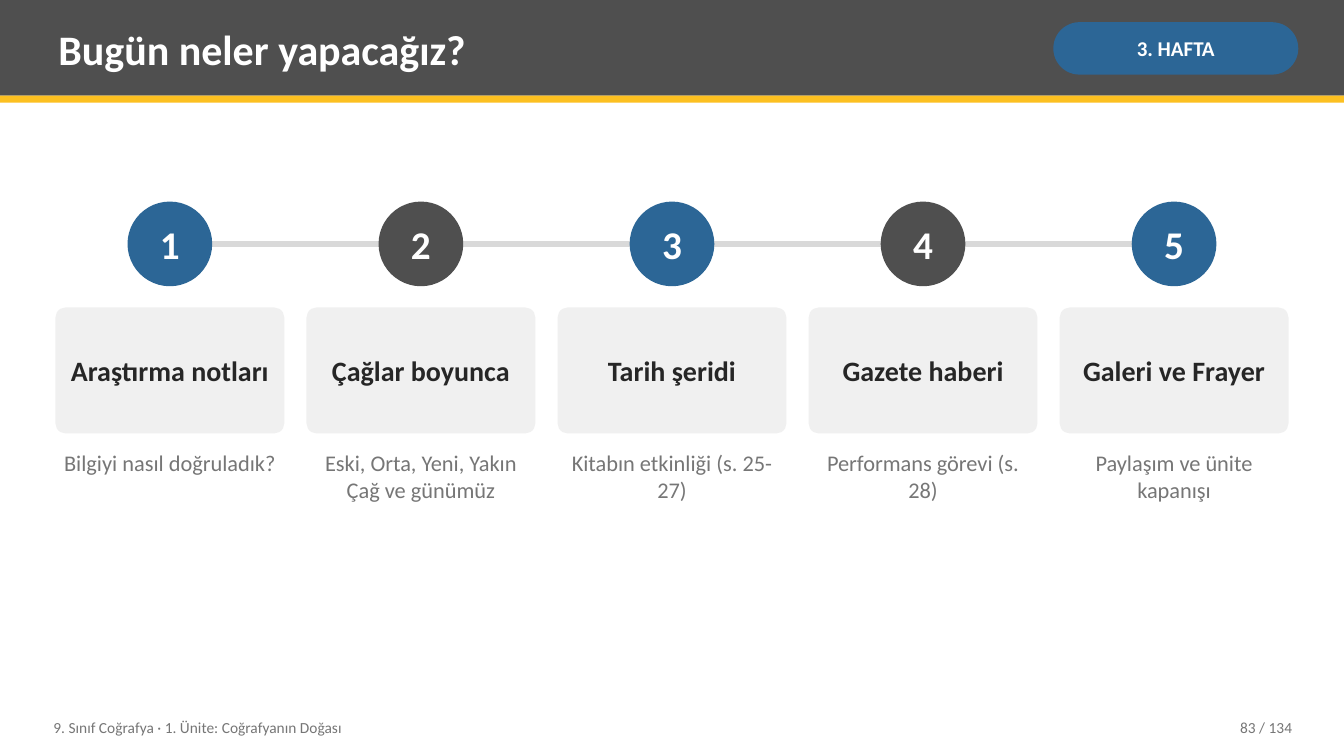
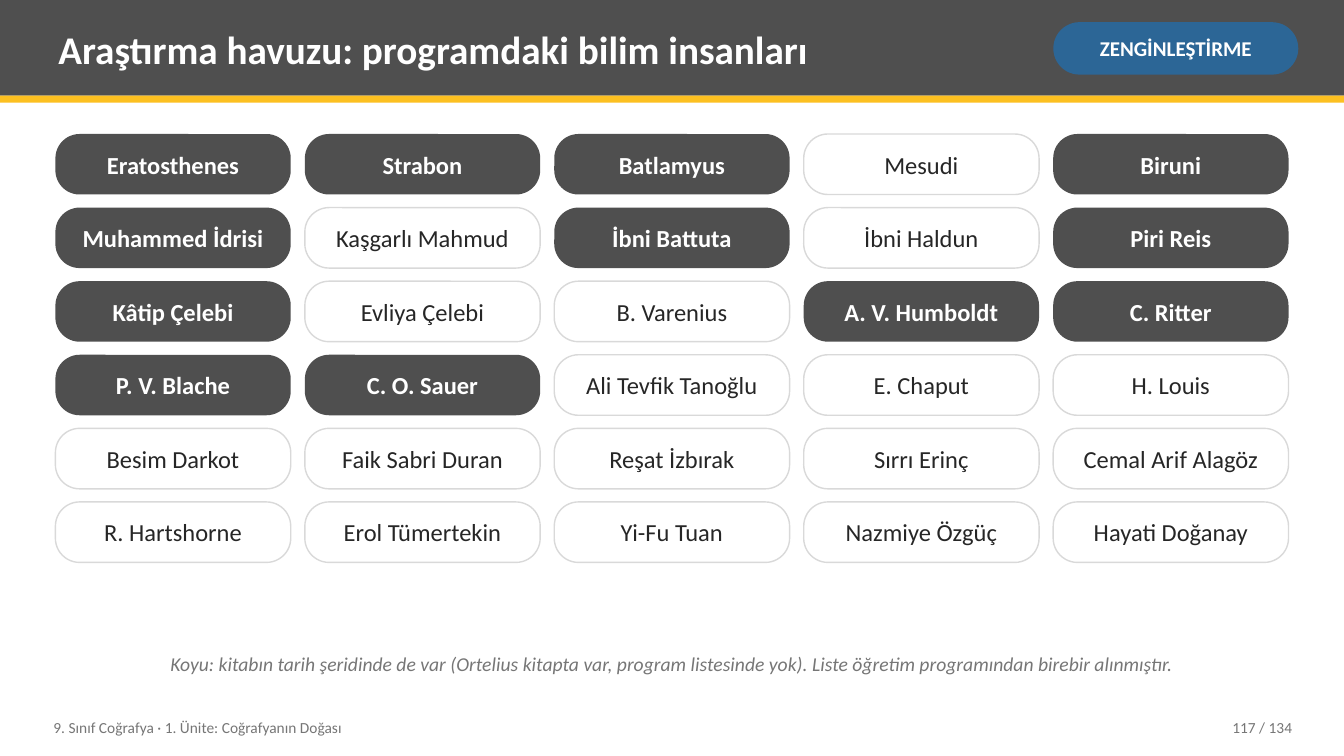
from dataclasses import dataclass
from typing import NamedTuple, Optional

from lxml.etree import SubElement
from pptx import Presentation
from pptx.dml.color import RGBColor
from pptx.enum.shapes import MSO_CONNECTOR, MSO_SHAPE
from pptx.enum.text import MSO_ANCHOR, PP_ALIGN
from pptx.oxml.ns import qn
from pptx.shapes.autoshape import Shape
from pptx.slide import Slide
from pptx.util import Pt

COLORS = {
    "charcoal": "4F4F4F",
    "blue": "2C6696",
    "yellow": "FCC021",
    "rule": "D9D9D9",
    "card": "F0F0F0",
    "ink": "262626",
    "muted": "767676",
    "white": "FFFFFF",
}
FONT = "Calibri"
FOOTER = "9. Sınıf Coğrafya · 1. Ünite: Coğrafyanın Doğası"
PAGE_COUNT = 134

# Page grid, in points
SLIDE_WIDTH, SLIDE_HEIGHT = 960, 540
MARGIN = 39.6
CONTENT_WIDTH = SLIDE_WIDTH - 2 * MARGIN
COLUMNS = 5


class Box(NamedTuple):
    left: float
    top: float
    width: float
    height: float


class Insets(NamedTuple):
    across: float
    down: float


@dataclass(frozen=True)
class TextStyle:
    size: float
    color: str
    bold: bool = False
    italic: bool = False
    align: PP_ALIGN = PP_ALIGN.CENTER
    anchor: MSO_ANCHOR = MSO_ANCHOR.MIDDLE
    insets: Insets = Insets(5.76, 2.88)
    wrap: bool = True


@dataclass(frozen=True)
class Step:
    title: str
    detail: str


@dataclass(frozen=True)
class Scholar:
    name: str
    on_timeline: bool = False


BADGE = TextStyle(15, "white", bold=True, insets=Insets(3.6, 1.44))
STEP_NUMBER = TextStyle(28, "white", bold=True, insets=Insets(0, 0), wrap=False)
STEP_TITLE = TextStyle(20, "ink", bold=True, insets=Insets(5.76, 5.76))
STEP_DETAIL = TextStyle(16, "muted", anchor=MSO_ANCHOR.TOP)
PILL = TextStyle(17.5, "ink", insets=Insets(3.6, 5.76))
DARK_PILL = TextStyle(17.5, "white", bold=True, insets=Insets(3.6, 5.76))
NOTE = TextStyle(14, "muted", italic=True, anchor=MSO_ANCHOR.TOP)
FOOTER_LEFT = TextStyle(11, "muted", align=PP_ALIGN.LEFT)
FOOTER_RIGHT = TextStyle(11, "muted", align=PP_ALIGN.RIGHT)

STEPS = (
    Step("Araştırma notları", "Bilgiyi nasıl doğruladık?"),
    Step("Çağlar boyunca", "Eski, Orta, Yeni, Yakın Çağ ve günümüz"),
    Step("Tarih şeridi", "Kitabın etkinliği (s. 25-27)"),
    Step("Gazete haberi", "Performans görevi (s. 28)"),
    Step("Galeri ve Frayer", "Paylaşım ve ünite kapanışı"),
)

SCHOLARS = (
    Scholar("Eratosthenes", True),
    Scholar("Strabon", True),
    Scholar("Batlamyus", True),
    Scholar("Mesudi"),
    Scholar("Biruni", True),
    Scholar("Muhammed İdrisi", True),
    Scholar("Kaşgarlı Mahmud"),
    Scholar("İbni Battuta", True),
    Scholar("İbni Haldun"),
    Scholar("Piri Reis", True),
    Scholar("Kâtip Çelebi", True),
    Scholar("Evliya Çelebi"),
    Scholar("B. Varenius"),
    Scholar("A. V. Humboldt", True),
    Scholar("C. Ritter", True),
    Scholar("P. V. Blache", True),
    Scholar("C. O. Sauer", True),
    Scholar("Ali Tevfik Tanoğlu"),
    Scholar("E. Chaput"),
    Scholar("H. Louis"),
    Scholar("Besim Darkot"),
    Scholar("Faik Sabri Duran"),
    Scholar("Reşat İzbırak"),
    Scholar("Sırrı Erinç"),
    Scholar("Cemal Arif Alagöz"),
    Scholar("R. Hartshorne"),
    Scholar("Erol Tümertekin"),
    Scholar("Yi-Fu Tuan"),
    Scholar("Nazmiye Özgüç"),
    Scholar("Hayati Doğanay"),
)


def rgb(color: str) -> RGBColor:
    return RGBColor.from_string(COLORS[color])


def in_points(box: Box) -> tuple[Pt, ...]:
    return tuple(Pt(length) for length in box)


def column_width(gap: float) -> float:
    return (CONTENT_WIDTH - (COLUMNS - 1) * gap) / COLUMNS


def write(holder: Shape, text: str, style: TextStyle) -> None:
    frame = holder.text_frame
    frame.text = text
    frame.word_wrap = style.wrap
    frame.vertical_anchor = style.anchor
    frame.margin_left = frame.margin_right = Pt(style.insets.across)
    frame.margin_top = frame.margin_bottom = Pt(style.insets.down)
    paragraph = frame.paragraphs[0]
    paragraph.alignment = style.align
    font = paragraph.runs[0].font
    font.name = FONT
    font.size = Pt(style.size)
    font.bold = style.bold
    font.italic = style.italic
    font.color.rgb = rgb(style.color)


def add_label(slide: Slide, box: Box, text: str, style: TextStyle) -> None:
    write(slide.shapes.add_textbox(*in_points(box)), text, style)


def add_block(slide: Slide, kind: MSO_SHAPE, box: Box, fill: str,
              outline: Optional[str] = None,
              rounding: Optional[float] = None) -> Shape:
    block = slide.shapes.add_shape(kind, *in_points(box))
    block.shadow.inherit = False
    block.fill.solid()
    block.fill.fore_color.rgb = rgb(fill)
    if outline:
        block.line.color.rgb = rgb(outline)
        block.line.width = Pt(1)
    else:
        block.line.fill.background()
    if rounding is not None:
        block.adjustments[0] = rounding
    return block


def add_rule(slide: Slide, start: float, end: float, y: float) -> None:
    rule = slide.shapes.add_connector(
        MSO_CONNECTOR.STRAIGHT, Pt(start), Pt(y), Pt(end), Pt(y))
    rule.line.color.rgb = rgb("rule")
    rule.line.width = Pt(4)
    SubElement(rule.element.spPr, qn("a:effectLst"))


def add_page(deck: Presentation, title: str, title_size: float,
             badge: str, number: int) -> Slide:
    """Add a slide with the shared title band, badge and footer."""
    slide = deck.slides.add_slide(deck.slide_layouts[6])
    # Title band
    add_block(slide, MSO_SHAPE.RECTANGLE, Box(0, 0, SLIDE_WIDTH, 68.4), "charcoal")
    add_block(slide, MSO_SHAPE.RECTANGLE, Box(0, 68.4, SLIDE_WIDTH, 5.04), "yellow")
    add_label(slide, Box(36, 5.04, 702, 59.04), title,
              TextStyle(title_size, "white", bold=True, align=PP_ALIGN.LEFT))
    tag = add_block(slide, MSO_SHAPE.ROUNDED_RECTANGLE,
                    Box(752.4, 15.84, 175, 37.44), "blue", rounding=0.5)
    write(tag, badge, BADGE)
    # Footer
    add_label(slide, Box(32.4, 506.88, 547.2, 25.92), FOOTER, FOOTER_LEFT)
    add_label(slide, Box(813.6, 506.88, 115.2, 25.92),
              f"{number} / {PAGE_COUNT}", FOOTER_RIGHT)
    return slide


def add_agenda(deck: Presentation) -> None:
    slide = add_page(deck, "Bugün neler yapacağız?", 30, "3. HAFTA", 83)
    gap, diameter, circle_top = 15.84, 60.48, 144
    width = column_width(gap)
    first_center = MARGIN + width / 2
    add_rule(slide, first_center, SLIDE_WIDTH - first_center,
             circle_top + diameter / 2)

    for index, step in enumerate(STEPS):
        left = MARGIN + index * (width + gap)
        circle = add_block(
            slide, MSO_SHAPE.OVAL,
            Box(left + (width - diameter) / 2, circle_top, diameter, diameter),
            "charcoal" if index % 2 else "blue")
        write(circle, str(index + 1), STEP_NUMBER)
        card = add_block(slide, MSO_SHAPE.ROUNDED_RECTANGLE,
                         Box(left, 219.6, width, 90), "card", rounding=0.08)
        write(card, step.title, STEP_TITLE)
        add_label(slide, Box(left, 318.24, width, 136.8), step.detail, STEP_DETAIL)


def add_scholar_pool(deck: Presentation) -> None:
    slide = add_page(deck, "Araştırma havuzu: programdaki bilim insanları", 28,
                     "ZENGİNLEŞTİRME", 117)
    gap, top, height, row_pitch = 10.08, 95.76, 43.2, 52.56
    width = column_width(gap)

    for index, scholar in enumerate(SCHOLARS):
        row, column = divmod(index, COLUMNS)
        dark = scholar.on_timeline
        pill = add_block(
            slide, MSO_SHAPE.ROUNDED_RECTANGLE,
            Box(MARGIN + column * (width + gap), top + row * row_pitch, width, height),
            "charcoal" if dark else "white",
            outline=None if dark else "rule", rounding=0.4)
        write(pill, scholar.name, DARK_PILL if dark else PILL)

    add_label(slide, Box(MARGIN, 462.96, CONTENT_WIDTH, 30.24),
              "Koyu: kitabın tarih şeridinde de var (Ortelius kitapta var, program "
              "listesinde yok). Liste öğretim programından birebir alınmıştır.", NOTE)


def main() -> None:
    deck = Presentation()
    deck.slide_width, deck.slide_height = Pt(SLIDE_WIDTH), Pt(SLIDE_HEIGHT)
    add_agenda(deck)
    add_scholar_pool(deck)
    deck.save("out.pptx")


if __name__ == "__main__":
    main()
